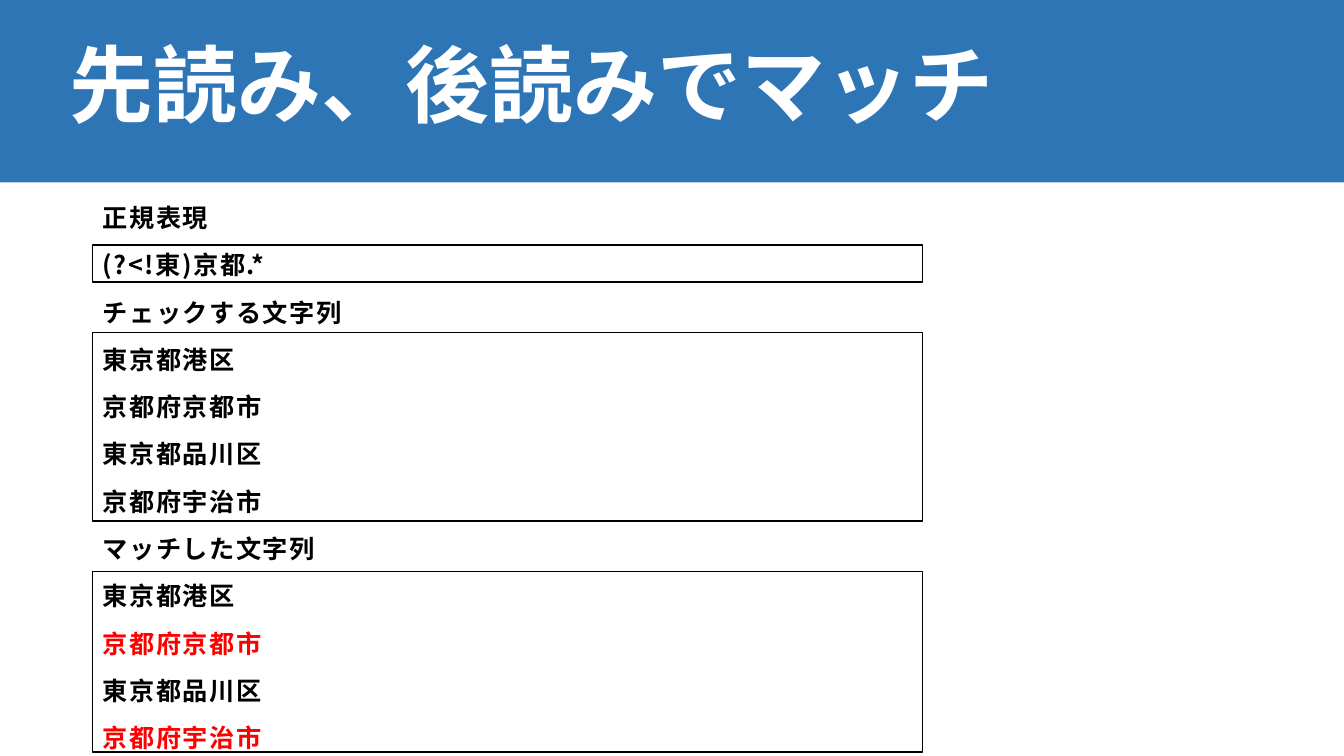
from pptx import Presentation
from pptx.dml.color import RGBColor
from pptx.enum.shapes import MSO_SHAPE
from pptx.enum.text import MSO_ANCHOR
from pptx.oxml.ns import qn
from pptx.util import Inches, Pt
from lxml import etree

RECTANGLE = MSO_SHAPE.RECTANGLE
TOP, MIDDLE = MSO_ANCHOR.TOP, MSO_ANCHOR.MIDDLE
BLUE = RGBColor(0x2E, 0x75, 0xB6)
WHITE = RGBColor(255, 255, 255)
BLACK = RGBColor(0, 0, 0)
RED = RGBColor(255, 0, 0)
FONT = "Noto Sans CJK JP"

TITLE = "先読み、後読みでマッチ"
ADDRESSES = ["東京都港区", "京都府京都市", "東京都品川区", "京都府宇治市"]
MATCHES = ["京都府京都市", "京都府宇治市"]
SECTIONS = [
    ("正規表現", ["(?<!東)京都.*"], [], 2.43, 0.37),
    ("チェックする文字列", ADDRESSES, [], 3.3, 1.87),
    ("マッチした文字列", ADDRESSES, MATCHES, 5.67, 1.79),
]
FRAME_LEFT, FRAME_WIDTH = 0.92, 8.23


def add_rectangle(page, left, top, width, height):
    box = page.shapes.add_shape(
        RECTANGLE, Inches(left), Inches(top), Inches(width), Inches(height))
    box.shadow.inherit = False
    return box


def add_text(page, left, top, width, height, lines, size, line_spacing,
             space_before=0, tracking=0, anchor=TOP):
    box = page.shapes.add_textbox(
        Inches(left), Inches(top), Inches(width), Inches(height))
    frame = box.text_frame
    frame.word_wrap = True
    frame.vertical_anchor = anchor
    for index, (text, color) in enumerate(lines):
        para = frame.add_paragraph() if index else frame.paragraphs[0]
        para.text = text
        para.line_spacing = line_spacing
        para.space_before = Pt(space_before if index else 0)
        span = para.runs[0]
        span.font.size = Pt(size)
        span.font.bold = True
        span.font.name = FONT
        span.font.color.rgb = color
        properties = span._r.get_or_add_rPr()
        properties.set("spc", str(tracking))
        etree.SubElement(properties, qn("a:ea")).set("typeface", FONT)


def main():
    deck = Presentation()
    deck.slide_width, deck.slide_height = Inches(13.33), Inches(7.5)
    page = deck.slides.add_slide(deck.slide_layouts[6])

    banner = add_rectangle(page, 0, 0, 13.33, 1.81)
    banner.fill.solid()
    banner.fill.fore_color.rgb = BLUE
    banner.line.fill.background()
    add_text(page, 0.59, 0.16, 11.5, 1.45, [(TITLE, WHITE)], 60, 0.9,
             anchor=MIDDLE)

    lines = []
    for heading, entries, matches, top, height in SECTIONS:
        lines.append((heading, BLACK))
        lines += [(entry, RED if entry in matches else BLACK)
                  for entry in entries]
    add_text(page, FRAME_LEFT, 1.93, 11.5, 5.57, lines, 18, 1.1,
             space_before=10, tracking=110)

    for heading, entries, matches, top, height in SECTIONS:
        outline = add_rectangle(page, FRAME_LEFT, top, FRAME_WIDTH, height)
        outline.fill.background()
        outline.line.color.rgb = BLACK
        outline.line.width = Pt(1)

    deck.save("out.pptx")


if __name__ == "__main__":
    main()
